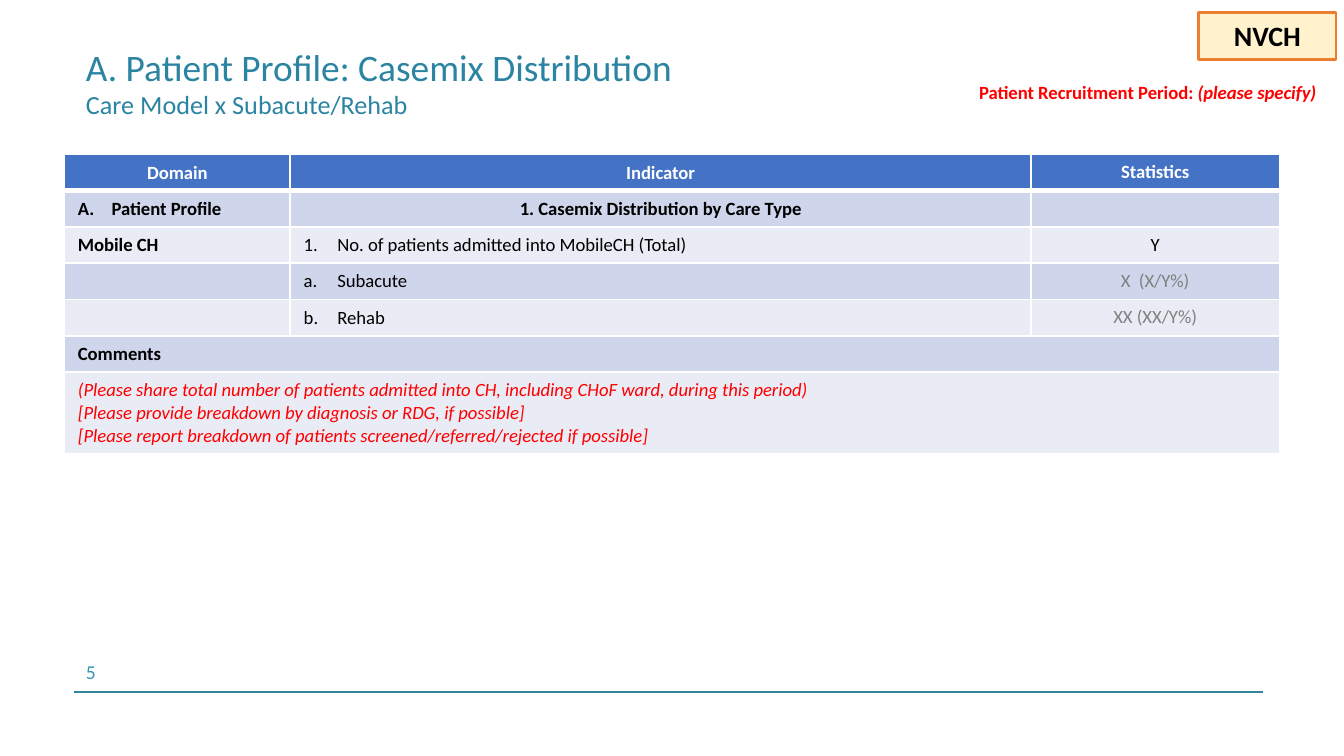
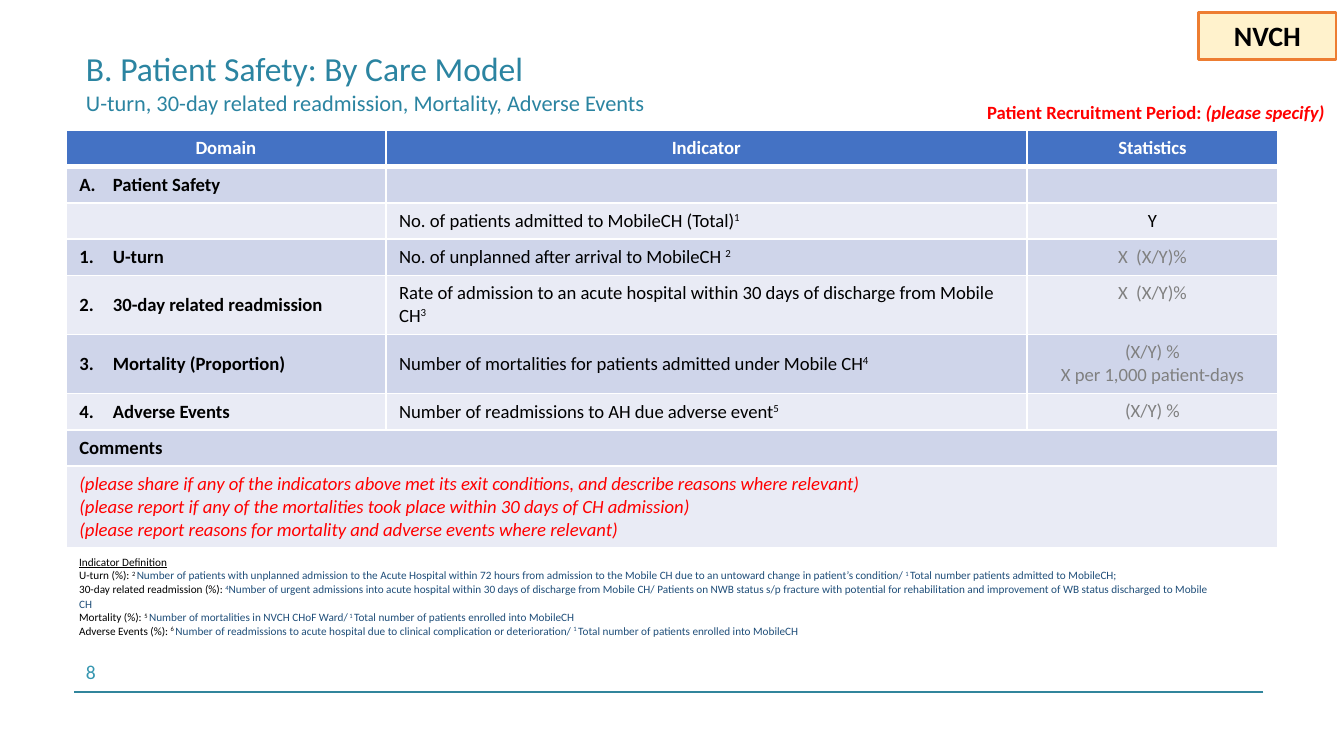
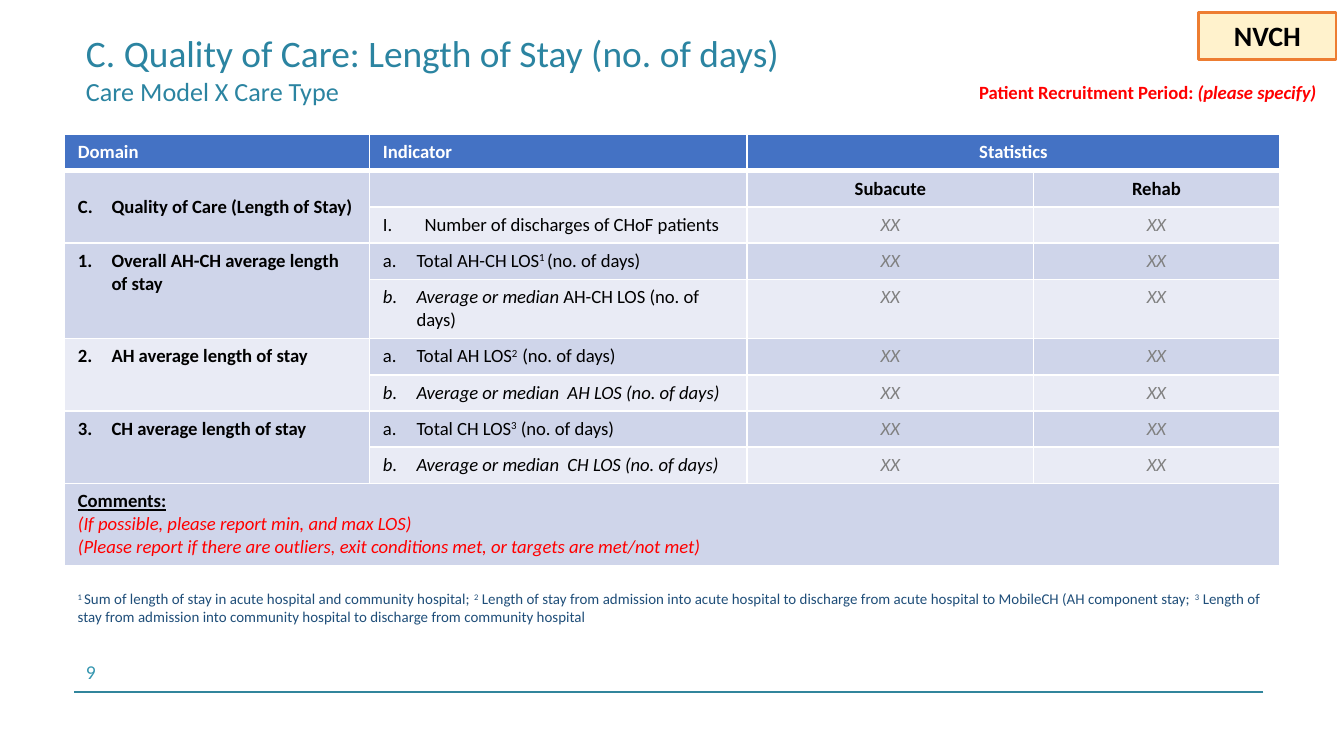
"""Build three care-model report slides, each with a title, an indicator table and a footer."""
from lxml import etree
from pptx import Presentation
from pptx.dml.color import RGBColor
from pptx.enum.shapes import MSO_CONNECTOR, MSO_SHAPE
from pptx.enum.text import MSO_ANCHOR, MSO_AUTO_SIZE, PP_ALIGN
from pptx.oxml.ns import qn
from pptx.util import Inches, Pt

TOP, MIDDLE = MSO_ANCHOR.TOP, MSO_ANCHOR.MIDDLE
RECTANGLE = MSO_SHAPE.RECTANGLE
FONT = "Calibri"
TABLE_SIZE = 10
ROW_HEIGHT, EXTRA_LINE = 0.27, 0.17
COLORS = {
    "black": "000000", "white": "FFFFFF", "red": "FF0000", "gray": "808080",
    "blue": "1F4E79", "title": "2B84A1", "number": "3596B0", "rule": "31859C",
    "header": "4472C4", "dark": "CFD5EA", "light": "E9EBF5",
    "badge": "FFF2CC", "edge": "ED7D31",
}
RGB = {name: RGBColor.from_string(value) for name, value in COLORS.items()}


def write(text_frame, paragraphs, size):
    """Write paragraphs of alternating styles and texts; carets enclose superscripts."""
    for index, content in enumerate(paragraphs):
        paragraph = text_frame.add_paragraph() if index else text_frame.paragraphs[0]
        first_words = content[0].split()
        paragraph.alignment = PP_ALIGN.CENTER if "center" in first_words else PP_ALIGN.LEFT
        for word in first_words:
            if ":" in word:
                scheme, start = word.split(":")
                indent = Inches(0.31 if scheme.startswith("roman") else 0.25)
                properties = paragraph._p.get_or_add_pPr()
                properties.set("marL", str(indent))
                properties.set("indent", str(-indent))
                etree.SubElement(properties, qn("a:buAutoNum"), type=scheme, startAt=start)
        for style, text in zip(content[::2], content[1::2]):
            words = style.split()
            for position, piece in enumerate(text.split("^")):
                if piece:
                    run = paragraph.add_run()
                    run.text = piece
                    run.font.name = FONT
                    run.font.size = Pt(size)
                    run.font.bold = "bold" in words
                    run.font.italic = "italic" in words
                    run.font.underline = "underline" in words
                    run.font.color.rgb = RGB[words[0]]
                    if position % 2:
                        run._r.get_or_add_rPr().set("baseline", "30000")


def add_box(slide, place, paragraphs, size, fill=None, edge=None):
    """Add a rectangle that holds styled text."""
    shape = slide.shapes.add_shape(RECTANGLE, *map(Inches, place))
    shape.shadow.inherit = False
    if fill:
        shape.fill.solid()
        shape.fill.fore_color.rgb = RGB[fill]
    else:
        shape.fill.background()
    if edge:
        shape.line.color.rgb = RGB[edge]
        shape.line.width = Pt(1.5)
    else:
        shape.line.fill.background()
    shape.text_frame.word_wrap = True
    shape.text_frame.vertical_anchor = TOP
    write(shape.text_frame, paragraphs, size)
    return shape


EMPTY = []
HEADER = [[("white bold center", name)] for name in ("Domain", "Indicator", "Statistics")]
COMMENTS = [[("black bold", "Comments")], None, None]
VALUES = [[("gray italic center", "XX")]] * 2

profile_rows = [
    HEADER,
    [[("black bold alphaUcPeriod:1", "Patient Profile")],
     [("black bold center", "1. Casemix Distribution by Care Type")], EMPTY],
    [[("black bold", "Mobile CH")],
     [("black arabicPeriod:1", "No. of patients admitted into MobileCH (Total)")],
     [("black center", "Y")]],
    [EMPTY, [("black alphaLcPeriod:1", "Subacute")], [("gray center", "X  (X/Y%)")]],
    [EMPTY, [("black alphaLcPeriod:2", "Rehab")], [("gray center", "XX (XX/Y%)")]],
    COMMENTS,
    [[("red italic", "(Please share total number of patients admitted into CH, "
       "including CHoF ward, during this period)"),
      ("red italic", "[Please provide breakdown by diagnosis or RDG, if possible]"),
      ("red italic", "[Please report breakdown of patients screened/referred/rejected if possible]")],
     None, None],
]

safety_measures = [
    ("U-turn", "No. of unplanned after arrival to MobileCH ^2^", ["X  (X/Y)%"]),
    ("30-day related readmission",
     "Rate of admission to an acute hospital within 30 days of discharge from Mobile CH^3^",
     ["X  (X/Y)%"]),
    ("Mortality (Proportion)", "Number of mortalities for patients admitted under Mobile CH^4^",
     ["(X/Y) %", "X per 1,000 patient-days"]),
    ("Adverse Events", "Number of readmissions to AH due adverse event^5^", ["(X/Y) %"]),
]
safety_rows = [
    HEADER,
    [[("black bold alphaUcPeriod:1", "Patient Safety")], EMPTY, EMPTY],
    [EMPTY, [("black", "No. of patients admitted to MobileCH (Total)^1^")], [("black center", "Y")]],
]
for number, (domain, indicator, statistics) in enumerate(safety_measures, 1):
    safety_rows.append([
        [(f"black bold arabicPeriod:{number}", domain)],
        [("black", indicator)],
        [("gray center", statistic) for statistic in statistics],
    ])
safety_rows += [
    COMMENTS,
    [[("red italic", "(please share if any of the indicators above met its exit conditions, "
       "and describe reasons where relevant)"),
      ("red italic", "(please report if any of the mortalities took place within 30 days of CH admission)"),
      ("red italic", "(please report reasons for mortality and adverse events where relevant)")],
     None, None],
]

stay_measures = [
    ("Overall AH-CH average length of stay", "Total AH-CH LOS^1 ^(no. of days)",
     ("black italic alphaLcPeriod:2", "Average or median ", "black", "AH-CH LOS (no. of days)")),
    ("AH average length of stay", "Total AH LOS^2  ^(no. of days)",
     ("black italic alphaLcPeriod:2", "Average or median  AH LOS (no. of days)")),
    ("CH average length of stay", "Total CH LOS^3^ (no. of days)",
     ("black italic alphaLcPeriod:2", "Average or median  CH LOS (no. of days)")),
]
stay_rows = [
    [[("white bold", "Domain")], [("white bold", "Indicator")],
     [("white bold center", "Statistics")], None],
    [[("black bold alphaUcPeriod:3", "Quality of Care (Length of Stay)")], EMPTY,
     [("black bold center", "Subacute")], [("black bold center", "Rehab")]],
    [None, [("black romanUcPeriod:1", "Number of discharges of CHoF patients")], *VALUES],
]
for number, (domain, total, average) in enumerate(stay_measures, 1):
    stay_rows += [
        [[(f"black bold arabicPeriod:{number}", domain)],
         [("black alphaLcPeriod:1", total)], *VALUES],
        [None, [average], *VALUES],
    ]
stay_rows.append([
    [("black bold underline", "Comments:"),
     ("red italic", "(If possible, please report min, and max LOS)"),
     ("red italic", "(Please report if there are outliers, exit conditions met, "
      "or targets are met/not met)")],
    None, None, None])

safety_notes = [
    ("black underline", "Indicator Definition"),
    ("black", "U-turn (%): ^2 ^",
     "blue", "Number of patients with unplanned admission to the Acute Hospital within 72 hours "
     "from admission to the Mobile CH due to an untoward change in patient’s condition/ "
     "^1 ^Total number patients admitted to MobileCH;"),
    ("black", "30-day related readmission (%): ",
     "blue", "^4^Number of urgent admissions into acute hospital within 30 days of discharge "
     "from Mobile CH/ Patients on NWB status s/p fracture with potential for rehabilitation "
     "and improvement of WB status discharged to Mobile CH"),
    ("black", "Mortality (%): ^5 ^",
     "blue", "Number of mortalities in NVCH CHoF Ward/^ 1 ^Total number of patients enrolled into MobileCH"),
    ("black", "Adverse Events (%): ^6 ^",
     "blue", "Number of readmissions to acute hospital due to clinical complication or deterioration/ "
     "^1 ^Total number of patients enrolled into MobileCH"),
]
stay_notes = [
    ("blue", "^1 ^Sum of length of stay in acute hospital and community hospital; "
     "^2^ Length of stay from admission into acute hospital to discharge from acute hospital "
     "to MobileCH (AH component stay; ^3^ Length of stay from admission into community hospital "
     "to discharge from community hospital"),
]

pages = [
    {"number": "5", "title": "A. Patient Profile: Casemix Distribution",
     "subtitle": "Care Model x Subacute/Rehab", "sizes": (20, 14), "title_box": (6.7, 0.82),
     "period": (7.17, 0.55), "table_at": (0.48, 1.15), "columns": (1.68, 5.51, 1.85),
     "rows": profile_rows, "lines": {6: 3}, "anchors": (MIDDLE, MIDDLE, TOP),
     "merges": [(5, 0, 5, 2), (6, 0, 6, 2)]},
    {"number": "8", "title": "B. Patient Safety: By Care Model",
     "subtitle": "U-turn, 30-day related readmission, Mortality, Adverse Events",
     "sizes": (18, 12), "title_box": (8.36, 0.82),
     "period": (7.23, 0.7), "table_at": (0.49, 0.97), "columns": (2.38, 4.77, 1.87),
     "rows": safety_rows, "lines": {4: 2, 5: 2, 8: 3}, "anchors": (MIDDLE, MIDDLE, TOP),
     "merges": [(7, 0, 7, 2), (8, 0, 8, 2)],
     "notes": ((0.49, 4.08, 8.59, 0.72), safety_notes, 6)},
    {"number": "9", "title": "C. Quality of Care: Length of Stay (no. of days)",
     "subtitle": "Care Model X Care Type", "sizes": (20, 14), "title_box": (6.7, 0.62),
     "period": (7.17, 0.55), "table_at": (0.48, 1), "columns": (2.27, 2.81, 2.13, 1.83),
     "rows": stay_rows, "lines": {4: 2, 9: 3}, "anchors": (TOP,) * 4,
     "merges": [(0, 2, 0, 3), (9, 0, 9, 3)] + [(row, 0, row + 1, 0) for row in (1, 3, 5, 7)],
     "fills": {(5, 0): "light"}, "middle": [(1, 0)],
     "notes": ((0.48, 4.34, 9.04, 0.37), stay_notes, 8)},
]

presentation = Presentation()
presentation.slide_width = Inches(10)
presentation.slide_height = presentation.slide_width * 9 // 16
title_only = presentation.slide_layouts[5]

for page in pages:
    slide = presentation.slides.add_slide(title_only)

    title = slide.shapes.title
    title.left, title.top = Inches(0.56), Inches(0.2)
    title.width, title.height = map(Inches, page["title_box"])
    frame = title.text_frame
    frame.text = page["title"] + "\v" + page["subtitle"]
    frame.word_wrap = True
    frame.auto_size = MSO_AUTO_SIZE.NONE
    frame.vertical_anchor = MIDDLE
    frame.margin_left = frame.margin_right = Inches(0.08)
    frame.margin_top = frame.margin_bottom = Inches(0.04)
    frame.paragraphs[0].alignment = PP_ALIGN.LEFT
    for run, size in zip(frame.paragraphs[0].runs, page["sizes"]):
        run.font.name = FONT
        run.font.size = Pt(size)
        run.font.color.rgb = RGB["title"]

    add_box(slide, (0.54, 4.86, 1.19, 0.28), [("number", page["number"])], 10.5)
    rule = slide.shapes.add_connector(
        MSO_CONNECTOR.STRAIGHT, Inches(9.4), Inches(5.15), Inches(0.55), Inches(5.15))
    rule.line.color.rgb = RGB["rule"]
    rule.line.width = Pt(1)
    etree.SubElement(rule._element.spPr, qn("a:effectLst"))

    add_box(slide, (*page["period"], 2.77, 0.27),
            [("red bold center", "Patient Recruitment Period: ",
              "red bold italic", "(please specify) ")], 10)
    add_box(slide, (8.92, 0.09, 1.02, 0.35), [("black bold center", "NVCH")], 15, "badge", "edge")

    rows, columns = page["rows"], page["columns"]
    heights = [ROW_HEIGHT + EXTRA_LINE * (page["lines"].get(row, 1) - 1) for row in range(len(rows))]
    table = slide.shapes.add_table(
        len(rows), len(columns), *map(Inches, (*page["table_at"], sum(columns), sum(heights)))).table
    for column, width in zip(table.columns, columns):
        column.width = Inches(width)
    for row, height in zip(table.rows, heights):
        row.height = Inches(height)
    for row_index, row in enumerate(rows):
        band = "header" if row_index == 0 else "dark" if row_index % 2 else "light"
        for column_index, content in enumerate(row):
            cell = table.cell(row_index, column_index)
            position = (row_index, column_index)
            cell.vertical_anchor = (
                MIDDLE if position in page.get("middle", []) else page["anchors"][column_index])
            if content:
                write(cell.text_frame, content, TABLE_SIZE)
            else:
                end = cell.text_frame.paragraphs[0]._p.get_or_add_endParaRPr()
                end.set("sz", str(TABLE_SIZE * 100))
            properties = cell._tc.get_or_add_tcPr()
            for side in ("L", "R", "T", "B"):
                thick = (row_index, side) in ((0, "B"), (1, "T"))
                border = etree.SubElement(properties, qn(f"a:ln{side}"), w=str(Pt(3 if thick else 1)))
                paint = etree.SubElement(border, qn("a:solidFill"))
                etree.SubElement(paint, qn("a:srgbClr"), val=COLORS["white"])
            cell.fill.solid()
            cell.fill.fore_color.rgb = RGB[page.get("fills", {}).get(position, band)]
    for top, left, bottom, right in page["merges"]:
        table.cell(top, left).merge(table.cell(bottom, right))

    if "notes" in page:
        place, paragraphs, size = page["notes"]
        notes = add_box(slide, place, paragraphs, size, "white")
        if len(paragraphs) > 2:
            notes.text_frame.paragraphs[2].line_spacing = 1.07

presentation.save("out.pptx")
